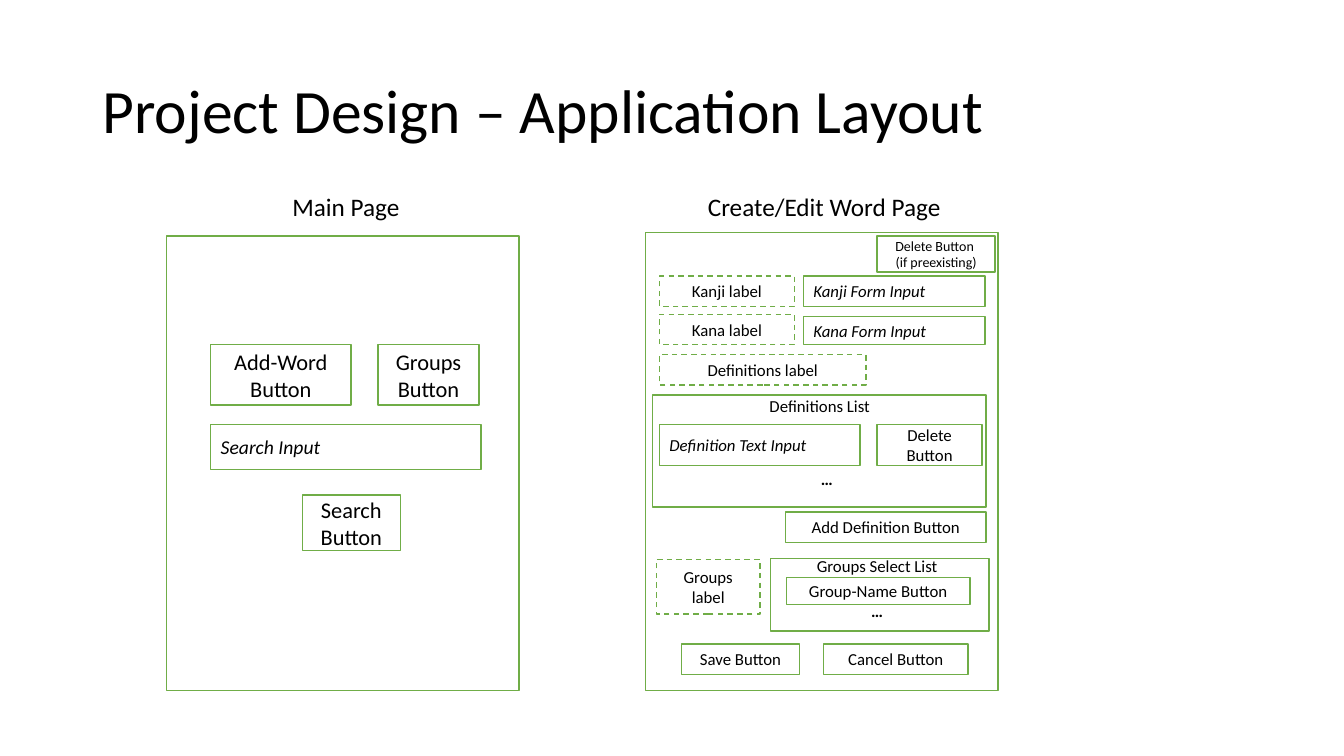
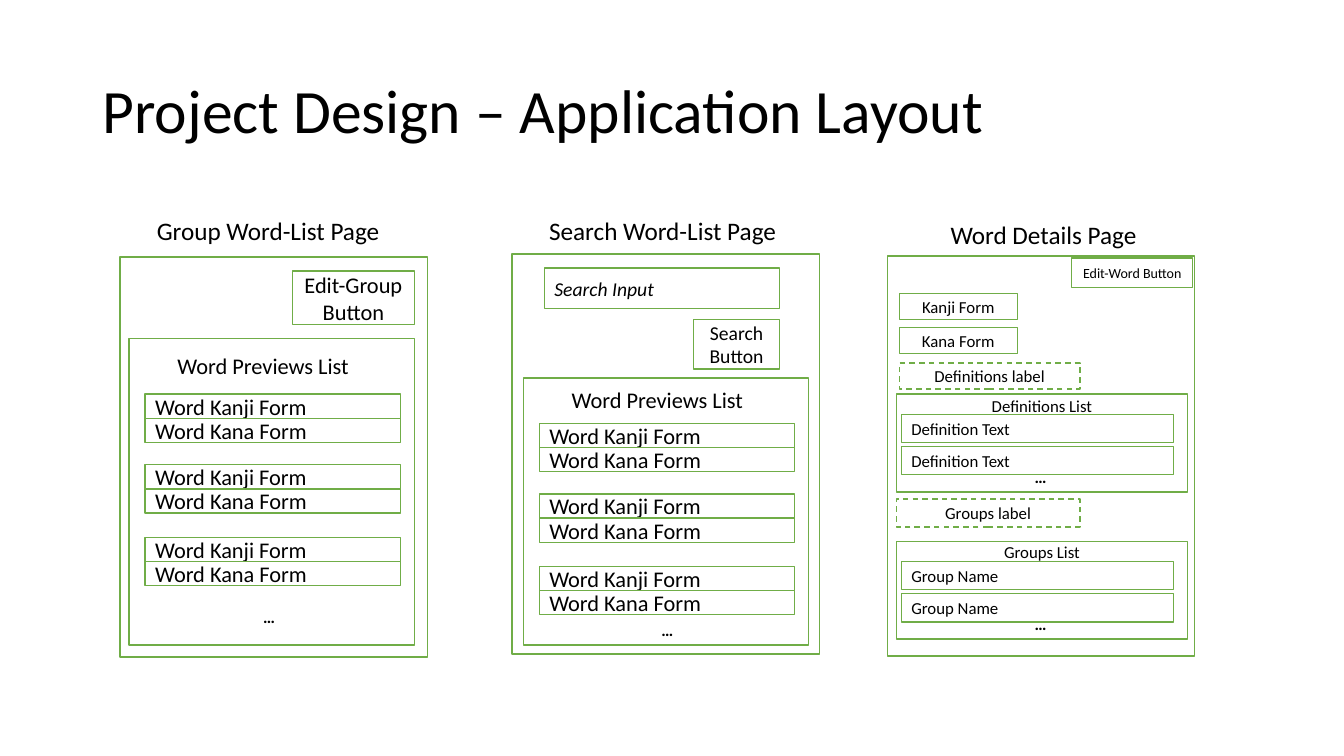
"""Build two wireframe slides that lay out the pages of a vocabulary application."""
from pptx import Presentation
from pptx.dml.color import RGBColor
from pptx.enum import dml, shapes, text
from pptx.util import Inches, Pt

COLORS = {"ink": "000000", "paper": "FFFFFF", "outline": "70AD47"}
FONT = "Calibri"
LEFT, CENTER = text.PP_ALIGN.LEFT, text.PP_ALIGN.CENTER


def write(target, wording, size, align=CENTER, italic=False, bold=False):
    frame = target.text_frame
    frame.word_wrap = True
    frame.text = wording
    for paragraph in frame.paragraphs:
        paragraph.alignment = align
        for run in paragraph.runs:
            run.font.name, run.font.size = FONT, Pt(size)
            run.font.italic, run.font.bold = italic, bold
            run.font.color.rgb = RGBColor.from_string(COLORS["ink"])
    return frame


def add_box(canvas, at, wording="", size=12, align=CENTER, italic=False, dashed=False):
    box = canvas.add_shape(shapes.MSO_SHAPE.RECTANGLE, *map(Inches, at))
    box.shadow.inherit = False
    box.fill.solid()
    box.fill.fore_color.rgb = RGBColor.from_string(COLORS["paper"])
    box.line.color.rgb = RGBColor.from_string(COLORS["outline"])
    box.line.width = Pt(1)
    if dashed:
        box.line.dash_style = dml.MSO_LINE.DASH
    if wording:
        frame = write(box, wording, size, align, italic)
        frame.vertical_anchor = text.MSO_ANCHOR.MIDDLE


deck = Presentation()
deck.slide_width, deck.slide_height = Inches(13.33), Inches(7.5)
canvases = []
for _ in range(2):
    slide = deck.slides.add_slide(deck.slide_layouts[6])
    title = slide.shapes.add_textbox(*map(Inches, (0.92, 0.4, 11.5, 1.45)))
    heading = write(title, "Project Design – Application Layout", 44, LEFT)
    heading.vertical_anchor = text.MSO_ANCHOR.MIDDLE
    heading.paragraphs[0].line_spacing = 0.9
    canvases.append(slide.shapes)
first, second = canvases

main_page = first.add_group_shape().shapes
add_box(main_page, (1.65, 2.34, 3.5, 4.51))
for at, wording in [
    ((2.09, 3.42, 1.39, 0.6), "Add-Word\nButton"),
    ((3.75, 3.42, 1, 0.6), "Groups Button"),
    ((3, 4.91, 0.97, 0.55), "Search Button"),
]:
    add_box(main_page, at, wording, 16)
add_box(main_page, (2.09, 4.21, 2.68, 0.45), "Search Input", 14, LEFT, italic=True)

edit_page = first.add_group_shape().shapes
for at in [(6.4, 2.31, 3.5, 4.54), (6.47, 3.92, 3.31, 1.11), (7.64, 5.54, 2.17, 0.72)]:
    add_box(edit_page, at)
for at, wording in [
    ((6.54, 2.74, 1.34, 0.3), "Kanji label"),
    ((6.54, 3.12, 1.34, 0.3), "Kana label"),
    ((6.54, 3.52, 2.05, 0.3), "Definitions label"),
    ((6.51, 5.55, 1.03, 0.54), "Groups label"),
]:
    add_box(edit_page, at, wording, dashed=True)
for at, wording in [
    ((7.97, 2.74, 1.8, 0.3), "Kanji Form Input"),
    ((7.97, 3.14, 1.8, 0.28), "Kana Form Input"),
    ((6.54, 4.21, 1.99, 0.41), "Definition Text Input"),
]:
    add_box(edit_page, at, wording, align=LEFT, italic=True)
for at, wording in [
    ((8.7, 4.21, 1.04, 0.41), "Delete Button"),
    ((7.79, 5.08, 1.99, 0.3), "Add Definition Button"),
    ((7.8, 5.73, 1.82, 0.27), "Group-Name Button"),
    ((6.76, 6.39, 1.17, 0.3), "Save Button"),
    ((8.17, 6.39, 1.43, 0.3), "Cancel Button"),
]:
    add_box(edit_page, at, wording)
add_box(edit_page, (8.7, 2.34, 1.17, 0.36), "Delete Button \n(if preexisting)", 10)

for page_left, page_top in [(1.19, 2.55), (5.08, 2.52), (8.8, 2.54)]:
    add_box(second, (page_left, page_top, 3.05, 3.97))

add_box(second, (2.9, 2.69, 1.21, 0.53), "Edit-Group Button", 16)
add_box(second, (5.4, 2.66, 2.33, 0.4), "Search Input", 14, LEFT, italic=True)
add_box(second, (6.88, 3.17, 0.85, 0.49), "Search Button", 14)
for list_left, list_top, list_height, words_top in [
    (1.28, 3.36, 3.04, 3.91),
    (5.19, 3.75, 2.65, 4.2),
]:
    add_box(second, (list_left, list_top, 2.83, list_height))
    for word_offset in (0, 0.7, 1.42):
        for form_offset, form in [(0, "Word Kanji Form"), (0.24, "Word Kana Form")]:
            form_top = words_top + word_offset + form_offset
            add_box(second, (list_left + 0.16, form_top, 2.53, 0.24), form, 16, LEFT)

add_box(second, (10.63, 2.56, 1.2, 0.29), "Edit-Word Button", 10)
add_box(second, (8.92, 2.91, 1.17, 0.26), "Kanji Form")
add_box(second, (8.92, 3.25, 1.17, 0.26), "Kana Form")
add_box(second, (8.92, 3.6, 1.79, 0.26), "Definitions label", dashed=True)
add_box(second, (8.89, 4.95, 1.82, 0.28), "Groups label", dashed=True)
for list_top, entry in [(3.91, "Definition Text"), (5.37, "Group Name")]:
    add_box(second, (8.89, list_top, 2.89, 0.97))
    for entry_offset in (0.2, 0.52):
        add_box(second, (8.94, list_top + entry_offset, 2.7, 0.28), entry, align=LEFT)

for canvas, at, caption, size in [
    (main_page, (2.67, 1.85, 1.52, 0.46), "Main Page", 18),
    (edit_page, (6.66, 1.85, 3.03, 0.46), "Create/Edit Word Page", 18),
    (edit_page, (7.29, 3.88, 1.68, 0.35), "Definitions List", 12),
    (edit_page, (7.86, 5.46, 1.68, 0.35), "Groups Select List", 12),
    (edit_page, (7.9, 4.6, 0.6, 0.35), "…", 12),
    (edit_page, (8.4, 5.91, 0.6, 0.35), "…", 12),
    (second, (1.28, 2.09, 2.76, 0.4), "Group Word-List Page", 18),
    (second, (5.22, 2.09, 2.76, 0.4), "Search Word-List Page ", 18),
    (second, (9.03, 2.13, 2.64, 0.4), "Word Details Page", 18),
    (second, (1.47, 3.44, 2.28, 0.37), "Word Previews List", 16),
    (second, (5.38, 3.78, 2.28, 0.37), "Word Previews List", 16),
    (second, (9.6, 3.88, 1.47, 0.3), "Definitions List", 12),
    (second, (9.6, 5.33, 1.47, 0.3), "Groups List", 12),
    (second, (2.41, 5.97, 0.52, 0.3), "…", 12),
    (second, (6.36, 6.1, 0.52, 0.3), "…", 12),
    (second, (10.06, 4.58, 0.52, 0.3), "…", 12),
    (second, (10.06, 6.04, 0.52, 0.3), "…", 12),
]:
    write(canvas.add_textbox(*map(Inches, at)), caption, size, bold=caption == "…")

deck.save("out.pptx")
